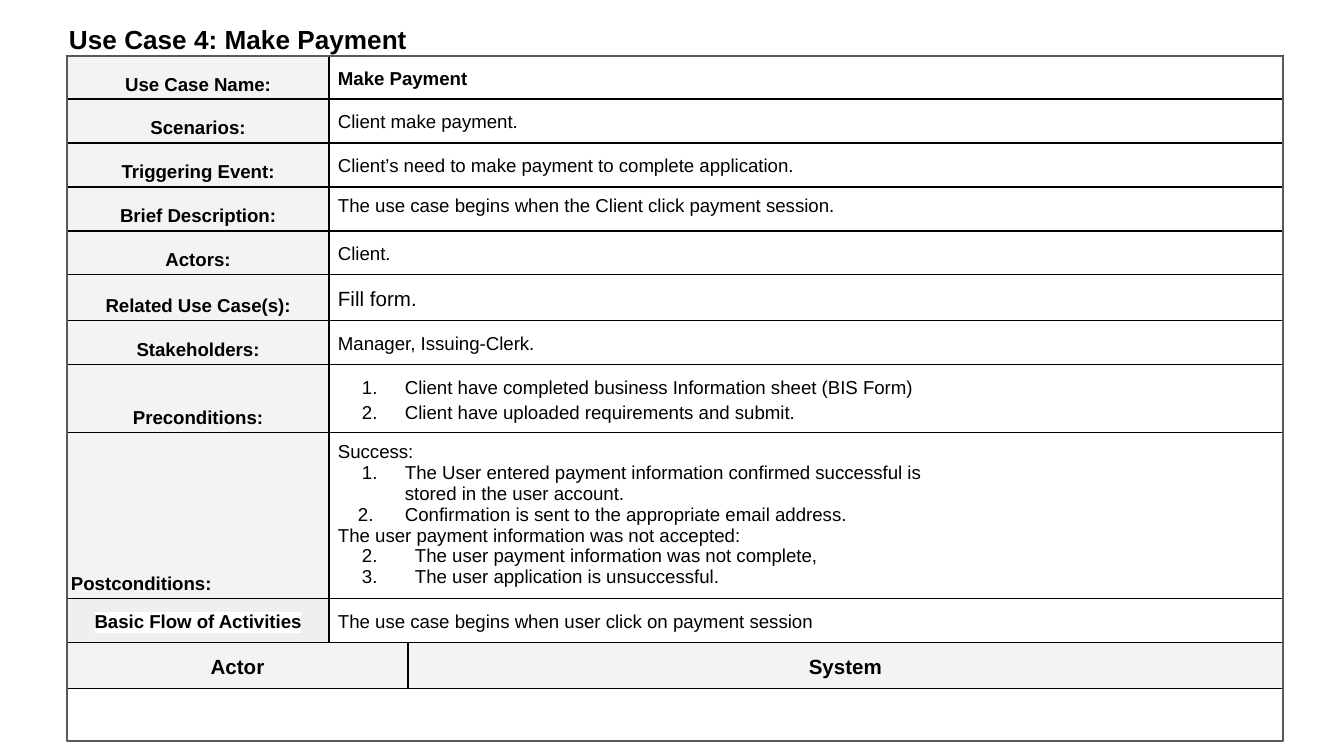
import dataclasses
import typing

import pptx
import pptx.dml.color
import pptx.enum.shapes
import pptx.enum.text
import pptx.oxml
import pptx.oxml.ns
import pptx.util

EMU_PER_PX = 914400 / 134.4
ALIGN = pptx.enum.text.PP_ALIGN
ANCHOR = pptx.enum.text.MSO_ANCHOR


@dataclasses.dataclass(frozen=True)
class Theme:
    font: str = "Arial"
    ink: str = "000000"
    label_fill: str = "F3F3F3"
    flow_fill: str = "EFEFEF"
    highlight: str = "FFFFFF"
    frame: str = "595959"
    line_pt: float = 0.75
    title_pt: int = 14
    heading_pt: int = 11
    body_pt: int = 10


THEME = Theme()


@dataclasses.dataclass(frozen=True)
class Line:
    text: str
    bold: bool = False
    size: int = THEME.body_pt
    spacing: float = 1.2
    align: typing.Any = ALIGN.LEFT
    left: int = 0
    hanging: int = 0
    start: int = 0  # first number of an automatic list, 0 for none
    highlight: str = ""


@dataclasses.dataclass(frozen=True)
class Field:
    label: str
    lines: tuple[Line, ...]
    height: int = 44
    label_spacing: float = 1.2
    label_align: typing.Any = ALIGN.CENTER


def numbered(text: str, spacing: float = 1.2, start: int = 1, left: int = 67) -> Line:
    return Line(text, spacing=spacing, left=left, hanging=left - 24, start=start)


FIELDS = (
    Field("Use Case Name:", (Line("Make Payment", bold=True),), 43),
    Field("Scenarios:", (Line("Client make payment."),)),
    Field("Triggering Event:",
          (Line("Client’s need to make payment to complete application."),)),
    Field("Brief Description:",
          (Line("The use case begins when the Client click payment session.", spacing=1),),
          label_spacing=1),
    Field("Actors:", (Line("Client."),)),
    Field("Related Use Case(s):", (Line("Fill form.", size=THEME.heading_pt),), 46),
    Field("Stakeholders:", (Line("Manager, Issuing-Clerk."),)),
    Field("Preconditions:", (
        numbered("Client have completed business Information sheet (BIS Form)"),
        numbered("Client have uploaded requirements and submit."),
    ), 68),
    Field("Postconditions:", (
        Line("Success:", spacing=1),
        numbered("The User entered payment information confirmed successful is", 1),
        Line("stored in the user account.", spacing=1, left=67),
        Line("2.\tConfirmation is sent to the appropriate email address.",
             spacing=1, left=67, hanging=47),
        Line("The user payment information was not accepted:", spacing=1),
        numbered("The user payment information was not complete,", 1, 2, 77),
        numbered("The user application is unsuccessful.", 1, 2, 77),
    ), 166, label_align=ALIGN.LEFT),
)
FLOW_HEIGHT, HEADING_HEIGHT = 44, 46
COLUMNS = (262, 79, 875)
LEFT, TOP = 67, 56


def px(length: int) -> pptx.util.Emu:
    return pptx.util.Emu(round(length * EMU_PER_PX))


def rgb(value: str) -> pptx.dml.color.RGBColor:
    return pptx.dml.color.RGBColor.from_string(value)


def write(frame: typing.Any, lines: typing.Sequence[Line]) -> None:
    for index, line in enumerate(lines):
        paragraph = frame.paragraphs[0] if index == 0 else frame.add_paragraph()
        paragraph.alignment = line.align
        paragraph.line_spacing = line.spacing
        properties = paragraph._p.get_or_add_pPr()
        if line.left:
            properties.set("marL", str(px(line.left)))
            properties.set("indent", str(px(-line.hanging)))
        if line.start:
            number = pptx.oxml.ns.qn("a:buAutoNum")
            bullet = properties.makeelement(number, {"type": "arabicPeriod"})
            if line.start > 1:
                bullet.set("startAt", str(line.start))
            properties.append(bullet)
        run = paragraph.add_run()
        run.text = line.text
        run.font.size = pptx.util.Pt(line.size)
        run.font.bold = line.bold
        run.font.color.rgb = rgb(THEME.ink)
        if line.highlight:
            run._r.get_or_add_rPr().append(pptx.oxml.parse_xml(
                f'<a:highlight {pptx.oxml.ns.nsdecls("a")}>'
                f'<a:srgbClr val="{line.highlight}"/></a:highlight>'))
        run.font.name = THEME.font


def fill_cell(cell: typing.Any, lines: typing.Sequence[Line], fill: str = "",
              margin: int = 9, anchor: typing.Any = ANCHOR.TOP) -> None:
    cell.margin_left = cell.margin_right = px(margin)
    cell.margin_top = cell.margin_bottom = px(margin)
    cell.vertical_anchor = anchor
    if fill:
        cell.fill.solid()
        cell.fill.fore_color.rgb = rgb(fill)
    write(cell.text_frame, lines)


def rule_cell(cell: typing.Any) -> None:
    properties = cell._tc.get_or_add_tcPr()
    for index, side in enumerate(("lnL", "lnR", "lnT", "lnB")):
        properties.insert(index, pptx.oxml.parse_xml(
            f'<a:{side} {pptx.oxml.ns.nsdecls("a")} w="{pptx.util.Pt(THEME.line_pt)}">'
            f'<a:solidFill><a:srgbClr val="{THEME.ink}"/></a:solidFill></a:{side}>'))


def add_use_case(slide: typing.Any) -> None:
    heights = [field.height for field in FIELDS] + [FLOW_HEIGHT, HEADING_HEIGHT]
    table = slide.shapes.add_table(len(heights), len(COLUMNS), px(LEFT), px(TOP),
                                   px(sum(COLUMNS)), px(sum(heights))).table
    table.first_row = table.horz_banding = False
    for column, width in zip(table.columns, COLUMNS):
        column.width = px(width)
    for row, height in zip(table.rows, heights):
        row.height = px(height)
    for cell in table.iter_cells():
        cell.fill.background()
        rule_cell(cell)

    # Labelled fields
    flow, heading = len(FIELDS), len(FIELDS) + 1
    for row in range(heading):
        table.cell(row, 1).merge(table.cell(row, 2))
    for row, field in enumerate(FIELDS):
        label = Line(field.label, bold=True, spacing=field.label_spacing,
                     align=field.label_align)
        fill_cell(table.cell(row, 0), [label], THEME.label_fill, 4, ANCHOR.BOTTOM)
        fill_cell(table.cell(row, 1), field.lines)

    # Flow of activities and its column headings
    fill_cell(table.cell(flow, 0),
              [Line("Basic Flow of Activities", bold=True, align=ALIGN.CENTER,
                    highlight=THEME.highlight)], THEME.flow_fill)
    fill_cell(table.cell(flow, 1),
              [Line("The use case begins when user click on payment session")])
    table.cell(heading, 0).merge(table.cell(heading, 1))
    for column, text in ((0, "Actor"), (2, "System")):
        fill_cell(table.cell(heading, column),
                  [Line(text, bold=True, size=THEME.heading_pt, align=ALIGN.CENTER)],
                  THEME.label_fill)


def add_title(slide: typing.Any) -> None:
    frame = slide.shapes.add_textbox(px(56), px(11), px(366), px(44)).text_frame
    frame.word_wrap = False
    frame.vertical_anchor = ANCHOR.MIDDLE
    frame.margin_left = frame.margin_right = px(13)
    frame.margin_top = frame.margin_bottom = px(13)
    write(frame, [Line("Use Case 4: Make Payment", bold=True,
                       size=THEME.title_pt, spacing=1.38)])


def add_frame(slide: typing.Any) -> None:
    border = slide.shapes.add_shape(pptx.enum.shapes.MSO_SHAPE.RECTANGLE,
                                    px(LEFT), px(TOP), px(sum(COLUMNS)), px(685))
    border.shadow.inherit = False
    border.fill.background()
    border.line.color.rgb = rgb(THEME.frame)
    border.line.width = pptx.util.Pt(THEME.line_pt)


def main() -> None:
    deck = pptx.Presentation()
    deck.slide_width, deck.slide_height = px(1344), px(756)
    slide = deck.slides.add_slide(deck.slide_layouts[6])
    add_use_case(slide)
    add_title(slide)
    add_frame(slide)
    deck.save("out.pptx")


if __name__ == "__main__":
    main()
